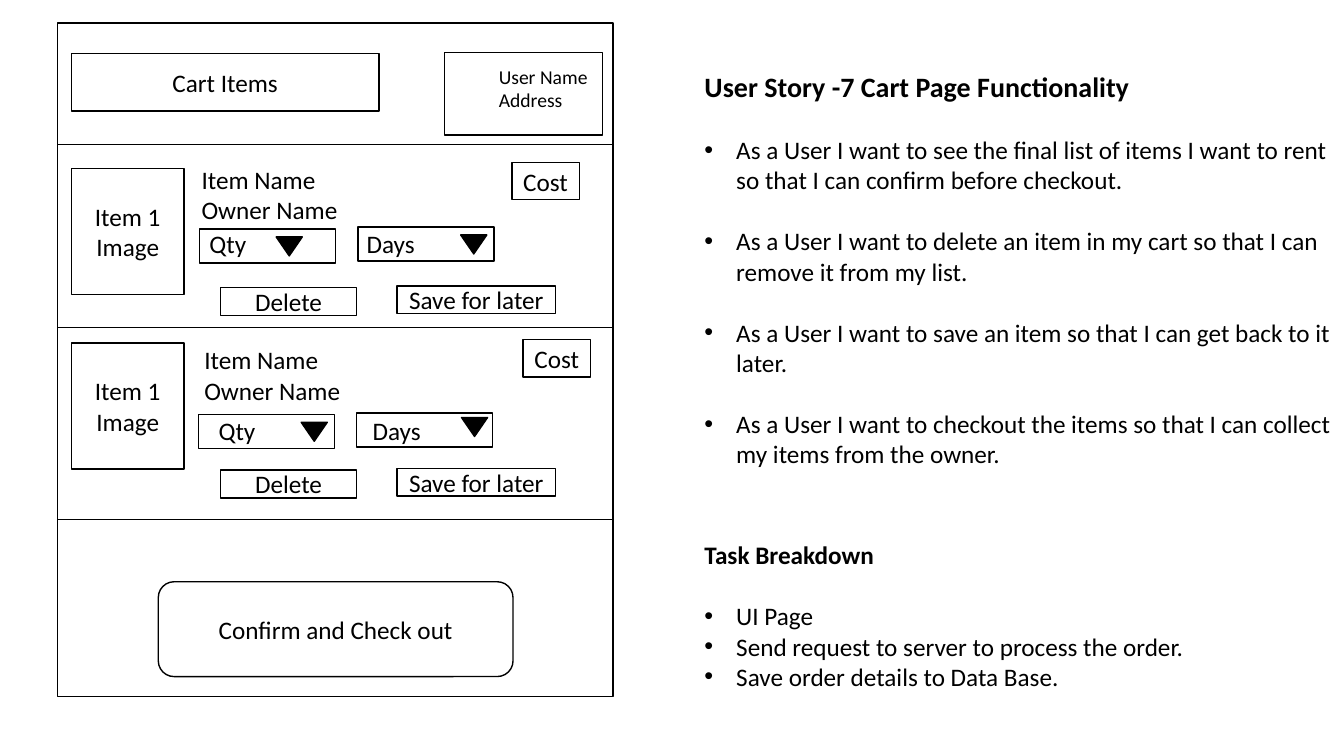
from lxml import etree
from pptx import Presentation
from pptx.dml.color import RGBColor
from pptx.enum import shapes, text
from pptx.oxml import ns
from pptx.util import Cm, Pt

BLACK = RGBColor(0x00, 0x00, 0x00)
WHITE = RGBColor(0xFF, 0xFF, 0xFF)
FONT = "Calibri"
RECTANGLE = shapes.MSO_SHAPE.RECTANGLE
LINE_GAP = 22

PAGE = (1.45, 0.58, 14.0, 16.97)
SECTION_TOPS = (3.63, 8.26, 13.08)
STORIES = (
    ("As a User I want to see the final list of items I want to rent",
     "so that I can confirm before checkout."),
    ("As a User I want to delete an item in my cart so that I can",
     "remove it from my list."),
    ("As a User I want to save an item so that I can get back to it",
     "later."),
    ("As a User I want to checkout the items so that I can collect",
     "my items from the owner."),
)
TASKS = (
    ("UI Page",),
    ("Send request to server to process the order.",),
    ("Save order details to Data Base.",),
)
FIRST_ITEM = {
    "image": (0.35, 0.61), "name": (3.38, 0.38), "cost": (11.45, 0.46),
    "delete": (4.11, 3.61), "save": (8.56, 3.58),
    "dropdowns": (("Qty", 3.58, 2.14, (0, -0.13), (1.93, 0.2)),
                  ("Days", 7.57, 2.09, (-0.03, -0.08), (2.59, 0.2))),
}
SECOND_ITEM = {
    "image": (0.35, 0.38), "name": (3.45, 0.3), "cost": (11.73, 0.3),
    "delete": (4.11, 3.58), "save": (8.56, 3.55),
    "dropdowns": (("Qty", 3.55, 2.18, (0.26, -0.1), (2.59, 0.2)),
                  ("Days", 7.54, 2.15, (0.15, -0.07), (2.64, 0.11))),
}


def write(paragraph, lines, size=18, bold=False):
    """Add lines to a paragraph, with a line break between them."""
    for index, line in enumerate(lines):
        if index:
            paragraph.add_line_break()
        run = paragraph.add_run()
        run.text = line
        run.font.name = FONT
        run.font.size = Pt(size)
        run.font.bold = bold
        run.font.color.rgb = BLACK


def add_box(slide, left, top, width, height, label="", kind=RECTANGLE, fill=WHITE):
    """Add an outlined shape with an optional centred label."""
    shape = slide.shapes.add_shape(kind, Cm(left), Cm(top), Cm(width), Cm(height))
    shape.shadow.inherit = False
    shape.fill.solid()
    shape.fill.fore_color.rgb = fill
    shape.line.color.rgb = BLACK
    shape.line.width = Pt(1)
    if label:
        shape.text_frame.vertical_anchor = text.MSO_ANCHOR.MIDDLE
        paragraph = shape.text_frame.paragraphs[0]
        paragraph.alignment = text.PP_ALIGN.CENTER
        write(paragraph, [label])


def add_label(slide, left, top, width, height, lines, size=18):
    """Add left-aligned text, one paragraph per line."""
    frame = slide.shapes.add_textbox(Cm(left), Cm(top), Cm(width), Cm(height)).text_frame
    frame.word_wrap = True
    for index, line in enumerate(lines):
        paragraph = frame.add_paragraph() if index else frame.paragraphs[0]
        write(paragraph, [line], size)


def add_page(slide, left, top, width, height):
    """Draw the page outline and the lines between its sections."""
    add_box(slide, left, top, width, height)
    for section_top in SECTION_TOPS:
        line = slide.shapes.add_connector(
            shapes.MSO_CONNECTOR.STRAIGHT,
            Cm(left), Cm(section_top), Cm(left + width), Cm(section_top))
        line.line.color.rgb = BLACK
        line.line.width = Pt(0.5)
        etree.SubElement(line._element.spPr, ns.qn("a:effectLst"))


def add_header(slide, left, top):
    """Draw the cart heading and the user details."""
    add_box(slide, left + 0.35, top + 0.77, 7.75, 1.45, "Cart Items")
    add_box(slide, left + 9.75, top + 0.74, 3.99, 2.08)
    add_label(slide, left + 10.87, top + 0.92, 3, 1.45, ["User Name", "Address"], 14)


def add_dropdown(slide, left, top, label, label_offset, arrow_offset):
    """Draw a selection field with its label and arrow."""
    add_box(slide, left, top, 3.43, 0.86)
    add_label(slide, left + label_offset[0], top + label_offset[1], 2.2, 1.02, [label])
    add_box(slide, left + arrow_offset[0], top + arrow_offset[1], 0.66, 0.48,
            kind=shapes.MSO_SHAPE.FLOWCHART_MERGE, fill=BLACK)


def add_cart_item(slide, left, top, places):
    """Draw one cart item, its parts placed from the row corner."""
    parts = (("image", "Item 1 Image", 2.84, 3.18), ("cost", "Cost", 1.7, 0.94),
             ("delete", "Delete", 3.43, 0.71), ("save", "Save for later", 3.99, 0.69))
    for part, label, width, height in parts:
        x, y = places[part]
        add_box(slide, left + x, top + y, width, height, label)
    x, y = places["name"]
    add_label(slide, left + x, top + y, 7.26, 1.8, ["Item Name", "Owner Name"])
    for label, x, y, label_offset, arrow_offset in places["dropdowns"]:
        add_dropdown(slide, left + x, top + y, label, label_offset, arrow_offset)


def add_checkout(slide, left, top):
    """Draw the checkout button."""
    add_box(slide, left + 2.54, top + 1.58, 8.94, 2.39, "Confirm and Check out",
            shapes.MSO_SHAPE.ROUNDED_RECTANGLE)


def place_text(placeholder, left, top, width, height):
    """Move a placeholder and return its plain, top-anchored text frame."""
    placeholder.left, placeholder.top = Cm(left), Cm(top)
    placeholder.width, placeholder.height = Cm(width), Cm(height)
    frame = placeholder.text_frame
    frame.word_wrap = True
    frame.auto_size = text.MSO_AUTO_SIZE.NONE
    frame.vertical_anchor = text.MSO_ANCHOR.TOP
    frame.margin_right = 0
    return frame


def set_bullet(paragraph, bullet):
    """Give a paragraph a hanging bullet, or none."""
    properties = paragraph._p.get_or_add_pPr()
    indent = Cm(0.8) if bullet else 0
    properties.set("marL", str(int(indent)))
    properties.set("indent", str(int(-indent)))
    if bullet:
        etree.SubElement(properties, ns.qn("a:buFont"), typeface="Arial")
        etree.SubElement(properties, ns.qn("a:buChar"), char="•")
    else:
        etree.SubElement(properties, ns.qn("a:buNone"))


def fill_list(placeholder, box, items, gap, heading=""):
    """Fill a body placeholder with an optional heading and bullets."""
    frame = place_text(placeholder, *box)
    entries = ([(heading,)] if heading else []) + list(items)
    for index, lines in enumerate(entries):
        paragraph = frame.add_paragraph() if index else frame.paragraphs[0]
        is_heading = bool(heading) and index == 0
        set_bullet(paragraph, not is_heading)
        after_heading = bool(heading) and index == 1
        paragraph.space_before = Pt(LINE_GAP if after_heading else gap if index else 0)
        write(paragraph, lines, bold=is_heading)


def add_story(slide, left, top, width):
    """Fill the title, the user stories and the task breakdown."""
    title, stories, tasks = slide.placeholders
    frame = place_text(title, left, top, width, 1.2)
    frame.paragraphs[0].alignment = text.PP_ALIGN.LEFT
    write(frame.paragraphs[0], ["User Story -7 Cart Page Functionality"], 20, True)
    fill_list(stories, (left, top + 1.63, width, 8.8), STORIES, LINE_GAP)
    fill_list(tasks, (left, top + 11.84, width, 4.12), TASKS, 0, "Task Breakdown")


def main():
    """Build the cart page slide."""
    presentation = Presentation()
    presentation.slide_width, presentation.slide_height = Cm(33.87), Cm(19.05)
    slide = presentation.slides.add_slide(presentation.slide_layouts[3])
    left, top = PAGE[:2]
    add_page(slide, *PAGE)
    add_header(slide, left, top)
    for section_top, places in zip(SECTION_TOPS, (FIRST_ITEM, SECOND_ITEM)):
        add_cart_item(slide, left, section_top, places)
    add_checkout(slide, left, SECTION_TOPS[-1])
    add_story(slide, 17.5, 1.63, 16.36)
    presentation.save("out.pptx")


if __name__ == "__main__":
    main()
